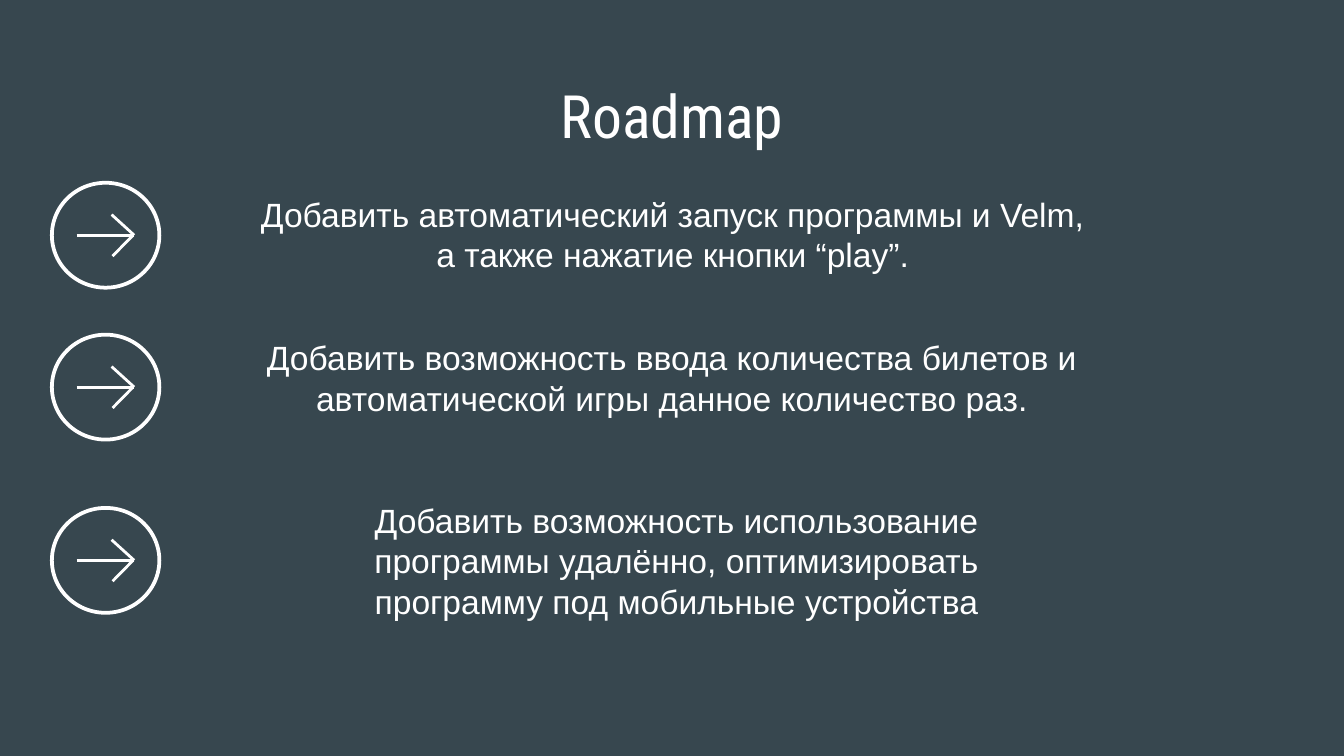
import pptx
import pptx.dml.color
import pptx.enum.shapes
import pptx.enum.text
import pptx.oxml
import pptx.oxml.ns
import pptx.util

Pt = pptx.util.Pt

SLATE = pptx.dml.color.RGBColor(0x37, 0x47, 0x4F)
WHITE = pptx.dml.color.RGBColor(0xFF, 0xFF, 0xFF)

ICON_LEFT, ICON_WIDTH, ICON_HEIGHT = 27.8, 57.6, 56.2
ARROW_TIP = (44.1, 28.1)
# Start and end of each arrow stroke, measured from the icon's corner
ARROW_STROKES = [
    ((13.3, 28.1), ARROW_TIP),
    ((32, 17.1), ARROW_TIP),
    ((32.5, 39.3), (43.5, 28.1)),
]

# Icon top, text box (left, top, width, height), wording
STEPS = [
    (97.9, (128.2, 96.5, 464.4, 51.1),
     "Добавить автоматический запуск программы и Velm, "
     "а также нажатие кнопки “play”."),
    (179.3, (107.3, 173.5, 505.4, 57.6),
     "Добавить возможность ввода количества билетов и "
     "автоматической игры данное количество раз."),
    (272.1, (153.7, 260.6, 417.6, 51.1),
     "Добавить возможность использование программы удалённо, "
     "оптимизировать программу под мобильные устройства"),
]


def write_centred(shape, text, font_name, size):
    frame = shape.text_frame
    frame.word_wrap = True
    frame.auto_size = pptx.enum.text.MSO_AUTO_SIZE.NONE
    frame.vertical_anchor = pptx.enum.text.MSO_ANCHOR.TOP
    frame.margin_left = frame.margin_right = Pt(7.2)
    frame.margin_top = frame.margin_bottom = Pt(7.2)
    paragraph = frame.paragraphs[0]
    paragraph.alignment = pptx.enum.text.PP_ALIGN.CENTER
    run = paragraph.add_run()
    run.text = text
    run.font.name = font_name
    run.font.size = Pt(size)
    run.font.color.rgb = WHITE


def set_title(slide, text):
    title = slide.shapes.title
    title.left, title.top = Pt(24.5), Pt(35)
    title.width, title.height = Pt(671), Pt(45.4)
    write_centred(title, text, "Roboto Condensed", 32)


def add_step_text(slide, box, text):
    step = slide.shapes.add_textbox(*map(Pt, box))
    write_centred(step, text, "Arial", 18)


def add_stroke(group, start, end):
    stroke = group.shapes.add_connector(
        pptx.enum.shapes.MSO_CONNECTOR.STRAIGHT, *map(Pt, start + end))
    stroke.line.color.rgb = WHITE
    stroke.line.width = Pt(1.5)
    properties = stroke._element.spPr
    properties.append(pptx.oxml.parse_xml(
        f"<a:effectLst {pptx.oxml.ns.nsdecls('a')}/>"))


def add_arrow_icon(slide, top):
    """Group a ring with the three strokes of an arrow pointing right."""
    icon = slide.shapes.add_group_shape()
    ring = icon.shapes.add_shape(
        pptx.enum.shapes.MSO_SHAPE.OVAL,
        Pt(ICON_LEFT), Pt(top), Pt(ICON_WIDTH), Pt(ICON_HEIGHT))
    ring.shadow.inherit = False
    ring.fill.background()
    ring.line.color.rgb = WHITE
    ring.line.width = Pt(2)
    for stroke in ARROW_STROKES:
        start, end = ((ICON_LEFT + x, top + y) for x, y in stroke)
        add_stroke(icon, start, end)


def main():
    presentation = pptx.Presentation()
    presentation.slide_width = Pt(720)
    presentation.slide_height = Pt(405)
    slide = presentation.slides.add_slide(presentation.slide_layouts[5])
    slide.background.fill.solid()
    slide.background.fill.fore_color.rgb = SLATE

    set_title(slide, "Roadmap")
    for icon_top, text_box, text in STEPS:
        add_step_text(slide, text_box, text)
        add_arrow_icon(slide, icon_top)

    presentation.save("out.pptx")


if __name__ == "__main__":
    main()
